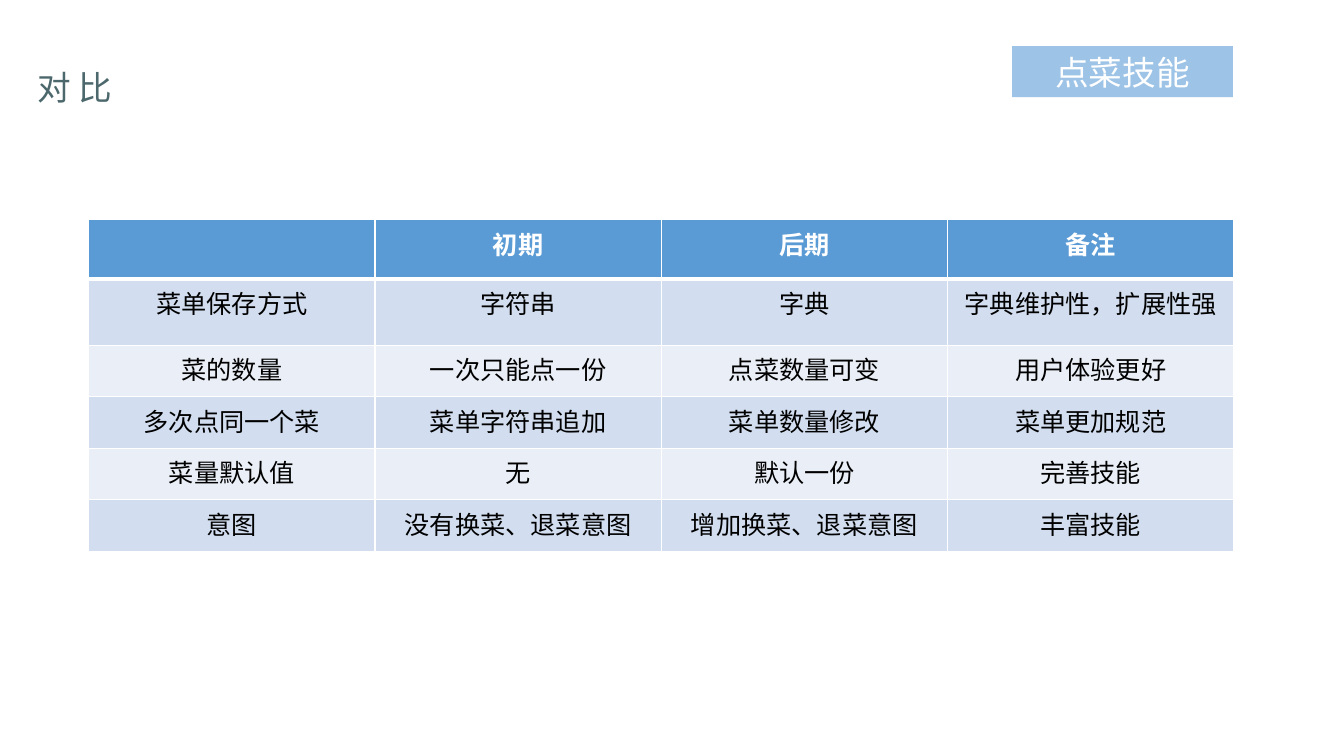
"""Build a slide that compares the early and late versions of an ordering skill."""
from lxml.etree import SubElement
from pptx import Presentation
from pptx.dml.color import RGBColor
from pptx.enum.shapes import MSO_SHAPE as Shape
from pptx.enum.text import MSO_ANCHOR as Anchor, MSO_AUTO_SIZE as AutoSize, PP_ALIGN as Align
from pptx.oxml.ns import qn
from pptx.util import Pt

WHITE = "FFFFFF"
BLACK = "000000"
TITLE_COLOR = "4C686C"
TAG_FILL = "9DC3E6"
HEADER_FILL = "5B9BD5"
BAND_FILLS = ("EAEFF7", "D2DEEF")
ROW_HEIGHTS = (42.2, 47.4, 36.8, 36.8, 36.8, 36.8)
ROWS = (
    ("", "初期", "后期", "备注"),
    ("菜单保存方式", "字符串", "字典", "字典维护性，扩展性强"),
    ("菜的数量", "一次只能点一份", "点菜数量可变", "用户体验更好"),
    ("多次点同一个菜", "菜单字符串追加", "菜单数量修改", "菜单更加规范"),
    ("菜量默认值", "无", "默认一份", "完善技能"),
    ("意图", "没有换菜、退菜意图", "增加换菜、退菜意图", "丰富技能"),
)


def color(value):
    return RGBColor.from_string(value)


class SlideBuilder:
    east_asian_font = "Noto Sans CJK SC"
    table_font = "Calibri"

    def __init__(self, page):
        self.page = page

    def set_text(self, frame, text, size, ink, font, align, bold=False):
        frame.text = text
        para = frame.paragraphs[0]
        para.alignment = align
        for span in para.runs:
            span.font.size = Pt(size)
            span.font.bold = bold
            span.font.color.rgb = color(ink)
            span.font.name = font
            SubElement(span.font._element, qn("a:ea"), typeface=self.east_asian_font)
        return para

    def title(self, text, left, top, width, height):
        box = self.page.shapes.add_textbox(Pt(left), Pt(top), Pt(width), Pt(height))
        frame = box.text_frame
        frame.word_wrap = True
        frame.auto_size = AutoSize.SHAPE_TO_FIT_TEXT
        para = self.set_text(frame, text, 24, TITLE_COLOR, self.east_asian_font, Align.LEFT)
        para.line_spacing = 1.5

    def tag(self, text, left, top, width, height):
        box = self.page.shapes.add_shape(
            Shape.RECTANGLE, Pt(left), Pt(top), Pt(width), Pt(height))
        box.shadow.inherit = False
        box.fill.solid()
        box.fill.fore_color.rgb = color(TAG_FILL)
        box.line.fill.background()
        frame = box.text_frame
        frame.word_wrap = True
        frame.vertical_anchor = Anchor.MIDDLE
        self.set_text(frame, text, 24, WHITE, self.east_asian_font, Align.CENTER)

    def border(self, cell, side, width):
        line = SubElement(cell._tc.get_or_add_tcPr(), qn(f"a:ln{side}"), w=str(Pt(width)))
        fill = SubElement(line, qn("a:solidFill"))
        SubElement(fill, qn("a:srgbClr"), val=WHITE)

    def table(self, rows, heights, left, top, width):
        grid = self.page.shapes.add_table(
            len(rows), len(rows[0]), Pt(left), Pt(top), Pt(width), Pt(sum(heights))).table
        for row_index, (texts, height) in enumerate(zip(rows, heights)):
            grid.rows[row_index].height = Pt(height)
            header = row_index == 0
            fill = HEADER_FILL if header else BAND_FILLS[row_index % 2]
            for column_index, text in enumerate(texts):
                cell = grid.cell(row_index, column_index)
                for side in "LRTB":
                    thick = (side == "B" and header) or (side == "T" and row_index == 1)
                    self.border(cell, side, 3 if thick else 1)
                cell.fill.solid()
                cell.fill.fore_color.rgb = color(fill)
                self.set_text(cell.text_frame, text, 18, WHITE if header else BLACK,
                              self.table_font, Align.CENTER, header)


def main():
    deck = Presentation()
    deck.slide_width, deck.slide_height = Pt(960), Pt(540)
    builder = SlideBuilder(deck.slides.add_slide(deck.slide_layouts[6]))
    builder.table(ROWS, ROW_HEIGHTS, 63.4, 157, 817.9)
    builder.tag("点菜技能", 723, 33, 157.7, 36.4)
    builder.title("对 比", 19.4, 29.5, 174.2, 43.9)
    deck.save("out.pptx")


if __name__ == "__main__":
    main()
